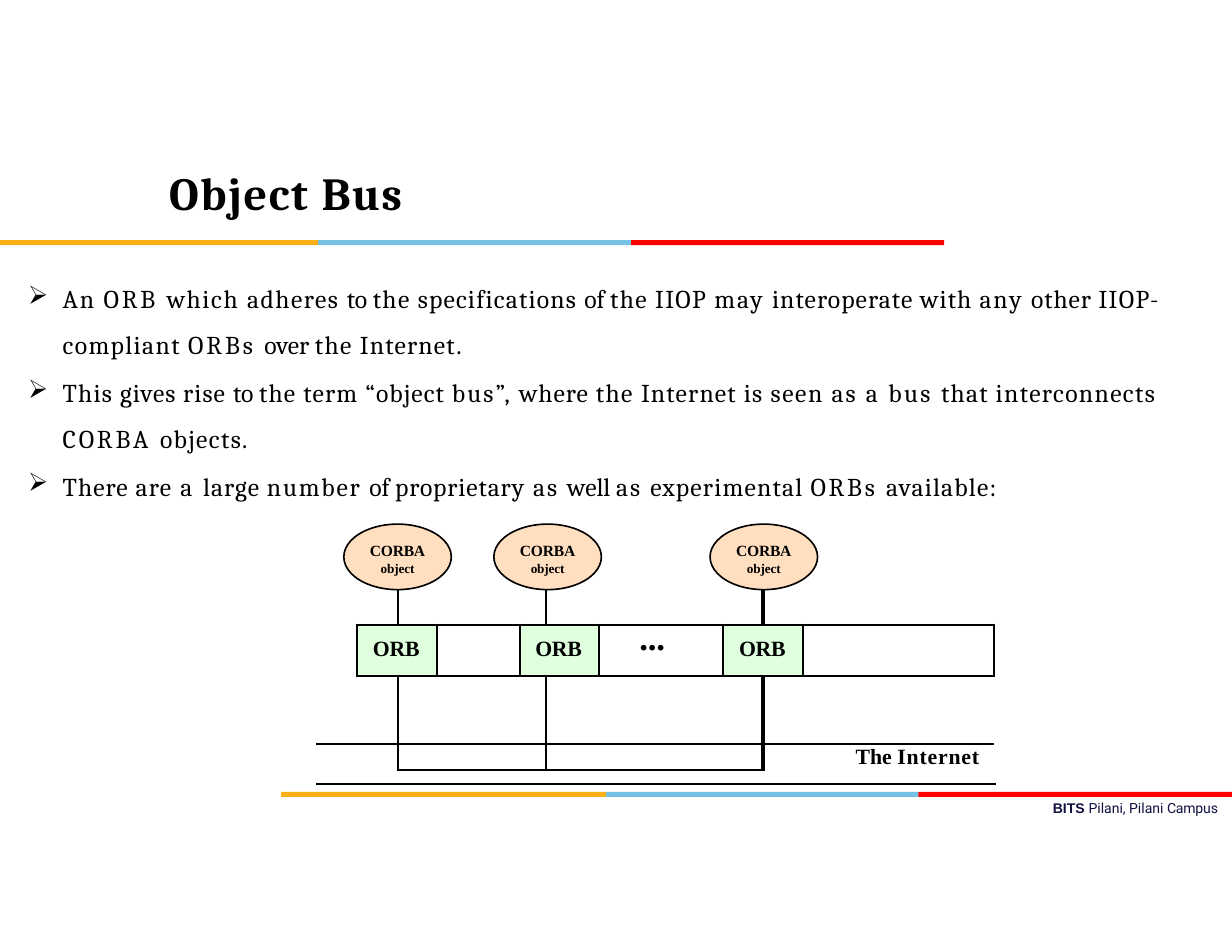
from dataclasses import dataclass

from lxml import etree
from pptx import Presentation
from pptx import util as u
from pptx.dml.color import RGBColor
from pptx.enum import shapes, text
from pptx.oxml.ns import qn

BLACK = RGBColor(0, 0, 0)
NAVY = RGBColor(0x0F, 0x11, 0x41)
ORANGE = RGBColor(0xFB, 0xAF, 0x16)
BLUE = RGBColor(0x75, 0xC1, 0xE4)
RED = RGBColor(0xFF, 0, 0)
PEACH = RGBColor(0xFF, 0xDF, 0xBF)
MINT = RGBColor(0xDF, 0xFF, 0xDF)

SERIF, DIAGRAM = "Cambria", "Times New Roman"
PLAIN_TABLE = "{2D5ABB26-0587-4C30-8999-92F81FD0307C}"

deck = Presentation()
deck.slide_width, deck.slide_height = u.Inches(11), u.Inches(8.5)
GRID = deck.slide_width // 1100


@dataclass(frozen=True)
class Box:
    left: float
    top: float
    width: float
    height: float

    def emu(self) -> tuple[int, ...]:
        return tuple(int(n * GRID) for n in (self.left, self.top, self.width, self.height))


@dataclass(frozen=True)
class Words:
    runs: list[tuple[str, float]]
    size: float
    font: str
    bold: bool = False
    indent: float = 0
    before: float = 0
    spacing: float | u.Length | None = None
    bullet: str = ""


def set_insets(frame, top: float = 0) -> None:
    frame.margin_left = frame.margin_right = frame.margin_bottom = 0
    frame.margin_top = int(top * GRID)


def write(paragraph, words: Words) -> None:
    props = paragraph._p.get_or_add_pPr()
    props.set("marL", str(int(words.indent * GRID)))
    props.set("indent", str(-31 * GRID if words.bullet else 0))
    if words.before:
        paragraph.space_before = u.Pt(words.before)
    if words.spacing:
        paragraph.line_spacing = words.spacing
    if words.bullet:
        etree.SubElement(props, qn("a:buChar"), char=words.bullet)
        tabs = etree.SubElement(props, qn("a:tabLst"))
        etree.SubElement(tabs, qn("a:tab"), pos=str(int(words.indent * GRID)), algn="l")
    font = paragraph.font
    font.size, font.name, font.bold = u.Pt(words.size), words.font, words.bold
    font.color.rgb = BLACK
    for content, tracking in words.runs:
        run = paragraph.add_run()
        run.text = content
        run._r.get_or_add_rPr().set("spc", str(round(tracking * 100)))


def add_stripes(slide, top: float, edges: list[float]) -> None:
    for start, end, color in zip(edges, edges[1:], (ORANGE, BLUE, RED)):
        stripe = slide.shapes.add_shape(
            shapes.MSO_SHAPE.RECTANGLE, *Box(start, top, end - start, 4.5).emu())
        stripe.shadow.inherit = False
        stripe.fill.solid()
        stripe.fill.fore_color.rgb = color
        stripe.line.fill.background()


def add_frame(slide, box: Box, top: float = 0):
    frame = slide.shapes.add_textbox(*box.emu()).text_frame
    frame.word_wrap = True
    set_insets(frame, top)
    return frame


def add_corba_object(slide, left: float) -> None:
    oval = slide.shapes.add_shape(shapes.MSO_SHAPE.OVAL, *Box(left, 468, 96, 58.5).emu())
    oval.shadow.inherit = False
    oval.fill.solid()
    oval.fill.fore_color.rgb = PEACH
    oval.line.color.rgb = BLACK
    oval.line.width = u.Pt(1.05)
    frame = oval.text_frame
    set_insets(frame, 3)
    frame.vertical_anchor = text.MSO_ANCHOR.MIDDLE
    labels = (Words([("CORBA", -0.1)], 10, DIAGRAM, True),
              Words([("object", -0.1)], 8.5, DIAGRAM, True, before=0.8))
    for index, label in enumerate(labels):
        paragraph = frame.add_paragraph() if index else frame.paragraphs[0]
        paragraph.alignment = text.PP_ALIGN.CENTER
        write(paragraph, label)


def add_border(cell, position: int, side: str, width: float) -> None:
    line = etree.Element(qn(f"a:ln{side}"), w=str(u.Pt(width)))
    fill = etree.SubElement(line, qn("a:solidFill"))
    etree.SubElement(fill, qn("a:srgbClr"), val=str(BLACK))
    cell._tc.get_or_add_tcPr().insert(position, line)


def add_bus(slide) -> None:
    columns = (37, 36, 35, 74, 24, 47, 111, 35, 36, 171)
    rows = (32, 46, 60, 24)
    bus_row, net_row, heavy_edge = 1, 3, 8
    link_edges = (0, 2, 5, 8, 10)
    orb_edges = (0, 1, 3, 4, 6, 7, 9, 10)
    orb = Words([("ORB", -0.2)], 14, DIAGRAM, True, 14)
    dots = Words([("...", -0.2)], 22.5, DIAGRAM, True, 36, spacing=u.Pt(21.1))
    internet = Words([("The ", 0), ("Internet", 0.5)], 14, DIAGRAM, True, 83,
                     spacing=u.Pt(11.9))
    contents = {(bus_row, 1): (orb, 11), (bus_row, 4): (orb, 11), (bus_row, 7): (orb, 11),
                (bus_row, 6): (dots, 0), (net_row, 8): (internet, 6)}

    table = slide.shapes.add_table(
        len(rows), len(columns), *Box(282, 526, sum(columns), sum(rows)).emu()).table
    table._tbl.tblPr.find(qn("a:tableStyleId")).text = PLAIN_TABLE
    table.first_row = table.horz_banding = False
    for column, width in zip(table.columns, columns):
        column.width = width * GRID
    for row, height in zip(table.rows, rows):
        row.height = height * GRID
    for cell in table.iter_cells():
        set_insets(cell)
        etree.SubElement(cell.text_frame.paragraphs[0]._p, qn("a:endParaRPr"), sz="800")

    for row in range(len(rows)):
        edges = orb_edges if row == bus_row else link_edges
        for start, end in zip(edges, edges[1:]):
            cell = table.cell(row, start)
            if end - start > 1:
                cell.merge(table.cell(row, end - 1))
            words, inset = contents.get((row, start), (None, 0))
            if words:
                set_insets(cell, inset)
                write(cell.text_frame.paragraphs[0], words)
            if words is orb:
                cell.fill.solid()
                cell.fill.fore_color.rgb = MINT
            else:
                cell.fill.background()
            on_bus = row == bus_row and start > 0
            looped = row == net_row and 2 <= start < heavy_edge
            sides = {"L": start > 0, "R": end < len(columns),
                     "T": on_bus or row == net_row,
                     "B": on_bus or row == net_row - 1 or looped}
            drawn = [side for side, shown in sides.items() if shown]
            for position, side in enumerate(drawn):
                edge = {"L": start, "R": end}.get(side)
                heavy = edge == heavy_edge and row != bus_row
                add_border(cell, position, side, 3 if heavy else 1.5)


BULLETS = [
    [("An ", 1.2), ("ORB ", 1.9), ("which ", 1.1), ("adheres ", 1), ("to ", 0), ("the ", 0.9),
     ("specifications ", 0.8), ("of ", 0), ("the IIOP ", 0.9), ("may ", 1.2),
     ("interoperate with ", 0.7), ("any ", 1.2), ("other ", 0.6), ("IIOP-compliant ", 0.9),
     ("ORBs ", 1.9), ("over ", 0), ("the ", 0.9), ("Internet.", 0.8)],
    [("This ", 0.8), ("gives rise ", 0.7), ("to ", 0), ("the term ", 0.8), ("“object ", 0.7),
     ("bus”, ", 1.4), ("where ", 0.7), ("the ", 0.9), ("Internet is ", 0.8), ("seen ", 1.1),
     ("as ", 1.4), ("a bus ", 1.6), ("that ", 0.8), ("interconnects ", 0.9), ("CORBA ", 1.9),
     ("objects.", 0.9)],
    [("There ", 0.7), ("are", 0.8), (" a ", 1.6), ("large ", 0.7), ("number ", 1.2), ("of ", 0),
     ("proprietary", 0.6), (" as ", 1.4), ("well ", 0), ("as ", 1.4), ("experimental ", 0.8),
     ("ORBs ", 1.8), ("available:", 0.8)],
]

slide = deck.slides.add_slide(deck.slide_layouts[5])
add_stripes(slide, 214.5, [0, 284, 563.5, 843])
add_stripes(slide, 707, [251, 541, 820, 1100])

title = slide.shapes.title
title.left, title.top, title.width, title.height = Box(7, 116, 754, 109).emu()
set_insets(title.text_frame, 31)
title.text_frame.vertical_anchor = text.MSO_ANCHOR.TOP
title.text_frame.auto_size = text.MSO_AUTO_SIZE.NONE
heading = title.text_frame.paragraphs[0]
heading.alignment = text.PP_ALIGN.LEFT
write(heading, Words([("Object ", 1.1), ("Bus", 0.9)], 29.5, SERIF, True, 144))

body = add_frame(slide, Box(24, 237, 1018, 211), 2)
for index, (runs, before, spacing) in enumerate(zip(BULLETS, (0, 0.9, 10.7), (1.5, 1.5, None))):
    paragraph = body.add_paragraph() if index else body.paragraphs[0]
    write(paragraph, Words(runs, 16.5, SERIF, False, 32, before, spacing, "➢"))

internet_floor = slide.shapes.add_connector(
    shapes.MSO_CONNECTOR.STRAIGHT, 282 * GRID, 700 * GRID, 889 * GRID, 700 * GRID)
internet_floor.line.color.rgb = BLACK
internet_floor.line.width = u.Pt(1.05)
etree.SubElement(internet_floor._element.spPr, qn("a:effectLst"))

for left in (307, 441, 634):
    add_corba_object(slide, left)
add_bus(slide)

campus = add_frame(slide, Box(939, 714, 154, 17)).paragraphs[0]
write(campus, Words([("BITS ", 0), ("Pilani, Pilani ", 0), ("Campus", -0.1)], 9, "Roboto", indent=1))
campus.font.color.rgb = NAVY
campus.runs[0].font.name, campus.runs[0].font.bold = "Arial", True

deck.save("out.pptx")
